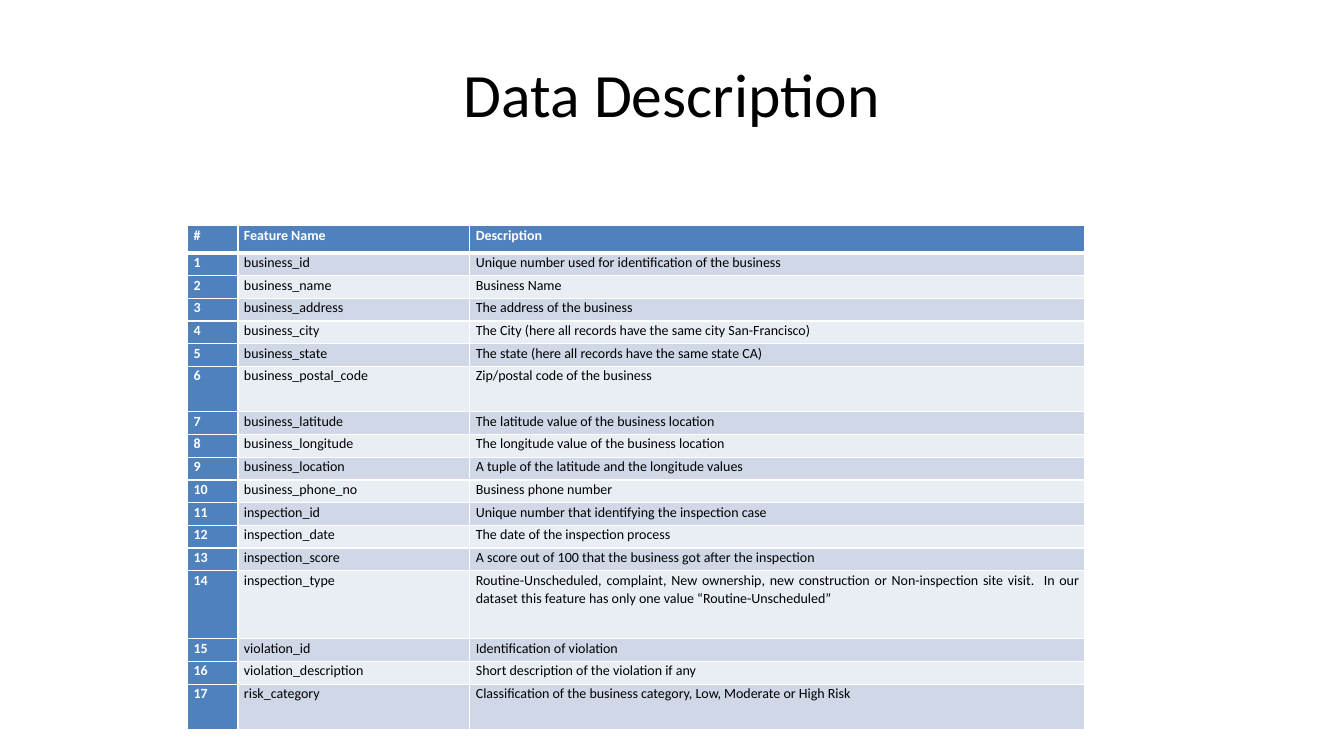
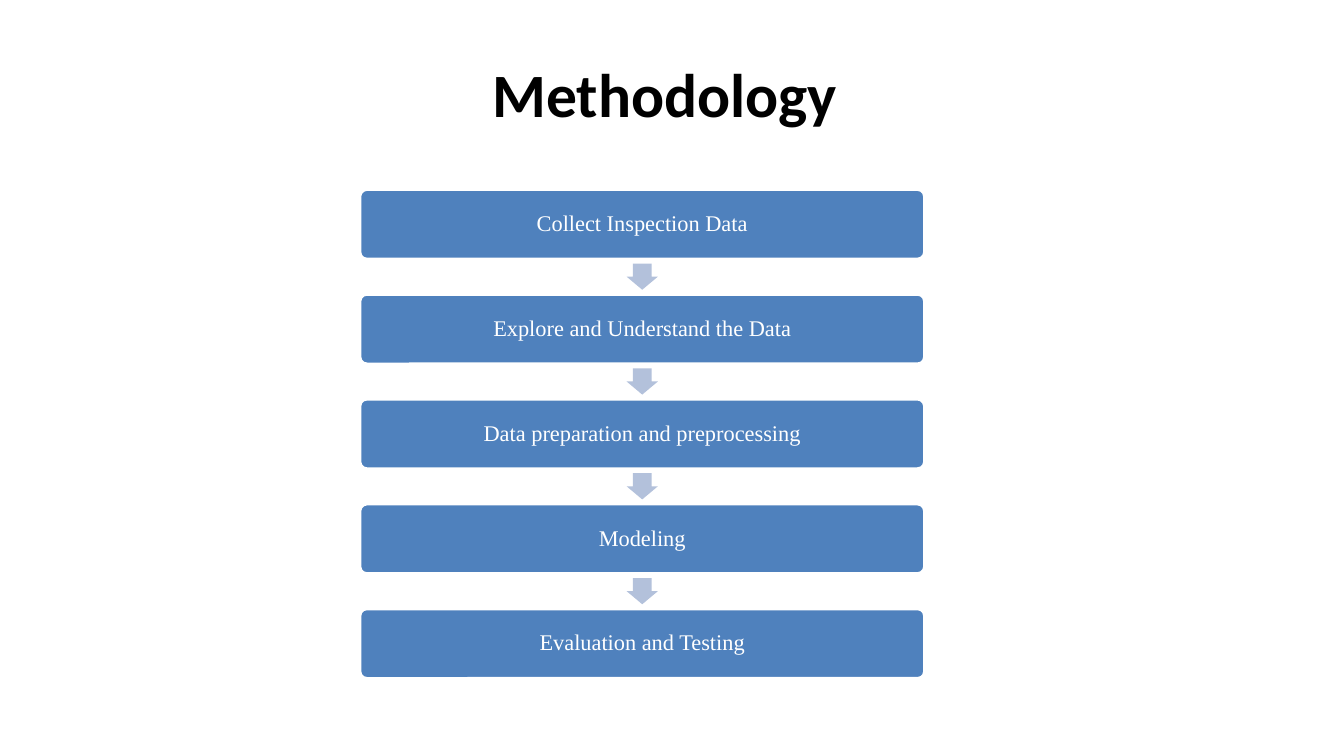
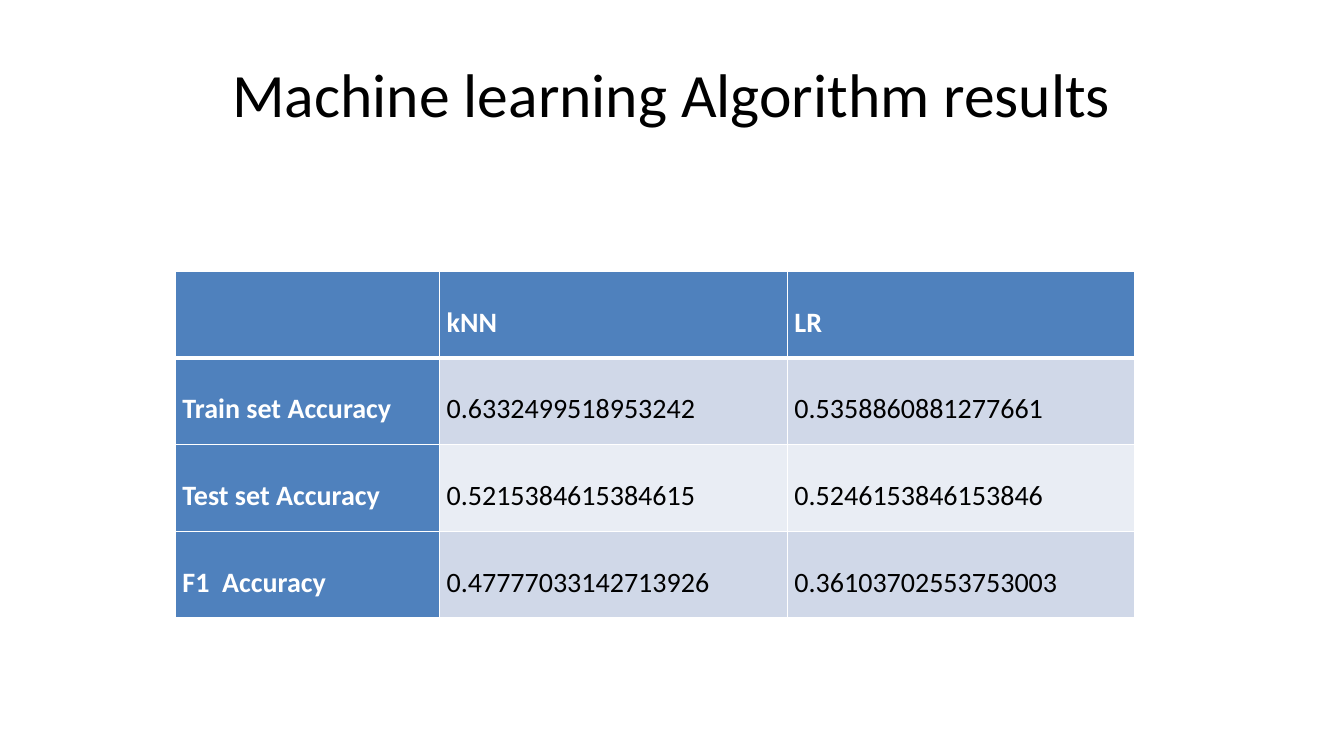
from dataclasses import dataclass

from lxml import etree
from pptx import Presentation
from pptx.dml.color import RGBColor
from pptx.enum.shapes import MSO_SHAPE
from pptx.enum.text import MSO_ANCHOR, PP_ALIGN
from pptx.oxml.ns import qn
from pptx.util import Inches, Pt

CENTER, JUSTIFY = PP_ALIGN.CENTER, PP_ALIGN.JUSTIFY
MIDDLE = MSO_ANCHOR.MIDDLE
BOX, ARROW = MSO_SHAPE.ROUNDED_RECTANGLE, MSO_SHAPE.DOWN_ARROW


@dataclass(frozen=True)
class Theme:
    accent: RGBColor = RGBColor(0x4F, 0x81, 0xBD)
    band_dark: RGBColor = RGBColor(0xD0, 0xD8, 0xE8)
    band_light: RGBColor = RGBColor(0xE9, 0xED, 0xF4)
    arrow: RGBColor = RGBColor(0xB3, 0xC1, 0xDB)
    white: RGBColor = RGBColor(0xFF, 0xFF, 0xFF)
    black: RGBColor = RGBColor(0, 0, 0)
    font: str = "Calibri"
    step_font: str = "Times New Roman"
    title_size: int = 44
    step_size: int = 16
    features_size: int = 10
    results_size: int = 20


THEME = Theme()

prs = Presentation()
prs.slide_width, prs.slide_height = Inches(13.33), Inches(7.5)
WIDTH, HEIGHT = prs.slide_width, prs.slide_height
BLANK = prs.slide_layouts[6]


def add_titled_slide(title, bold=False):
    slide = prs.slides.add_slide(BLANK)
    heading = slide.shapes.add_textbox(
        int(WIDTH * 0.05), int(HEIGHT * 0.04), int(WIDTH * 0.9), Inches(1.25))
    frame = heading.text_frame
    frame.word_wrap = True
    frame.vertical_anchor = MIDDLE
    paragraph = frame.paragraphs[0]
    paragraph.text = title
    paragraph.alignment = CENTER
    font = paragraph.font
    font.name, font.size, font.bold = THEME.font, Pt(THEME.title_size), bold
    font.color.rgb = THEME.black
    return slide


def add_banded_table(slide, rows, left, top, widths, heights, size, spacing, inset):
    """Table with an accent header row and first column, banded body and white rules."""
    table = slide.shapes.add_table(
        len(rows), len(widths), Inches(left), Inches(top),
        Inches(sum(widths)), Inches(sum(heights))).table
    table.first_col = True
    for column, width in zip(table.columns, widths):
        column.width = Inches(width)
    for r, (values, height) in enumerate(zip(rows, heights)):
        table.rows[r].height = Inches(height)
        for c, value in enumerate(values):
            cell = table.cell(r, c)
            cell.margin_left = cell.margin_right = Inches(inset)
            cell.margin_top = cell.margin_bottom = 0
            is_heading = r == 0 or c == 0
            properties = cell._tc.get_or_add_tcPr()
            for side in ("L", "R", "T", "B"):
                thick = (r == 0 and side == "B") or (r == 1 and side == "T")
                rule = etree.SubElement(
                    properties, qn(f"a:ln{side}"), w=str(Pt(3 if thick else 1)))
                paint = etree.SubElement(rule, qn("a:solidFill"))
                etree.SubElement(paint, qn("a:srgbClr"), val=str(THEME.white))
            cell.fill.solid()
            band = THEME.band_dark if r % 2 else THEME.band_light
            cell.fill.fore_color.rgb = THEME.accent if is_heading else band
            if not value:
                continue
            paragraph = cell.text_frame.paragraphs[0]
            paragraph.text = value
            paragraph.alignment = JUSTIFY
            paragraph.line_spacing = spacing
            font = paragraph.font
            font.name, font.size, font.bold = THEME.font, Pt(size), is_heading
            font.color.rgb = THEME.white if is_heading else THEME.black


# Data description
FEATURES = [
    ("business_id", "Unique number used for identification of the business"),
    ("business_name", "Business Name"),
    ("business_address", "The address of the business"),
    ("business_city", "The City (here all records have the same city San-Francisco)"),
    ("business_state", "The state (here all records have the same state CA)"),
    ("business_postal_code", "Zip/postal code of the business"),
    ("business_latitude", "The latitude value of the business location"),
    ("business_longitude", "The longitude value of the business location"),
    ("business_location", "A tuple of the latitude and the longitude values"),
    ("business_phone_no", "Business phone number"),
    ("inspection_id", "Unique number that identifying the inspection case"),
    ("inspection_date", "The date of the inspection process"),
    ("inspection_score", "A score out of 100 that the business got after the inspection"),
    ("inspection_type",
     "Routine-Unscheduled, complaint, New ownership, new construction or "
     "Non-inspection site visit.  In our dataset this feature has only one value "
     "“Routine-Unscheduled”"),
    ("violation_id", "Identification of violation"),
    ("violation_description", "Short description of the violation if any"),
    ("risk_category",
     "Classification of the business category, Low, Moderate or High Risk"),
]
HEADER_HEIGHT, FEATURES_HEIGHT = 0.27, 5
ROW_UNITS = {"business_postal_code": 2, "inspection_type": 3, "risk_category": 2}
units = [ROW_UNITS.get(name, 1) for name, _ in FEATURES]
unit_height = (FEATURES_HEIGHT - HEADER_HEIGHT) / sum(units)
feature_rows = [("#", "Feature Name", "Description")]
feature_rows += [(str(n), *feature) for n, feature in enumerate(FEATURES, 1)]
add_banded_table(
    add_titled_slide("Data Description"), feature_rows, left=1.86, top=2.24,
    widths=[0.5, 2.3, 6.1],
    heights=[HEADER_HEIGHT] + [unit_height * n for n in units],
    size=THEME.features_size, spacing=1.07, inset=0.06)

# Methodology
STEPS = [
    "Collect Inspection Data",
    "Explore and Understand the Data",
    "Data preparation and preprocessing",
    "Modeling",
    "Evaluation and Testing",
]
STEP_LEFT, STEP_TOP, STEP_WIDTH, STEP_HEIGHT, STEP_PITCH = 3.57, 1.88, 5.6, 0.69, 1.04
ARROW_WIDTH, ARROW_HEIGHT = 0.31, 0.26
arrow_left = STEP_LEFT + (STEP_WIDTH - ARROW_WIDTH) / 2
arrow_offset = (STEP_HEIGHT + STEP_PITCH - ARROW_HEIGHT) / 2
methodology = add_titled_slide("Methodology ", bold=True)
for i, step in enumerate(STEPS):
    top = STEP_TOP + i * STEP_PITCH
    box = methodology.shapes.add_shape(
        BOX, Inches(STEP_LEFT), Inches(top), Inches(STEP_WIDTH), Inches(STEP_HEIGHT))
    box.adjustments[0] = 0.1
    box.shadow.inherit = False
    box.fill.solid()
    box.fill.fore_color.rgb = THEME.accent
    box.line.color.rgb = THEME.white
    box.line.width = Pt(2)
    box.text_frame.word_wrap = True
    box.text_frame.vertical_anchor = MIDDLE
    paragraph = box.text_frame.paragraphs[0]
    paragraph.text = step
    paragraph.alignment = CENTER
    paragraph.line_spacing = 0.9
    paragraph.font.name, paragraph.font.size = THEME.step_font, Pt(THEME.step_size)
    paragraph.font.color.rgb = THEME.white
    if i < len(STEPS) - 1:
        arrow = methodology.shapes.add_shape(
            ARROW, Inches(arrow_left), Inches(top + arrow_offset),
            Inches(ARROW_WIDTH), Inches(ARROW_HEIGHT))
        arrow.adjustments[0], arrow.adjustments[1] = 0.6, 0.5
        arrow.shadow.inherit = False
        arrow.fill.solid()
        arrow.fill.fore_color.rgb = THEME.arrow
        arrow.line.fill.background()

# Results
RESULTS = [
    ("", "kNN", "LR"),
    ("Train set Accuracy", "0.6332499518953242", "0.5358860881277661"),
    ("Test set Accuracy", "0.5215384615384615", "0.5246153846153846"),
    ("F1  Accuracy", "0.47777033142713926", "0.36103702553753003"),
]
add_banded_table(
    add_titled_slide("Machine learning Algorithm results"), RESULTS,
    left=1.74, top=2.69, widths=[2.62, 3.45, 3.44], heights=[0.86] * len(RESULTS),
    size=THEME.results_size, spacing=2.0, inset=0.07)

prs.save("out.pptx")
